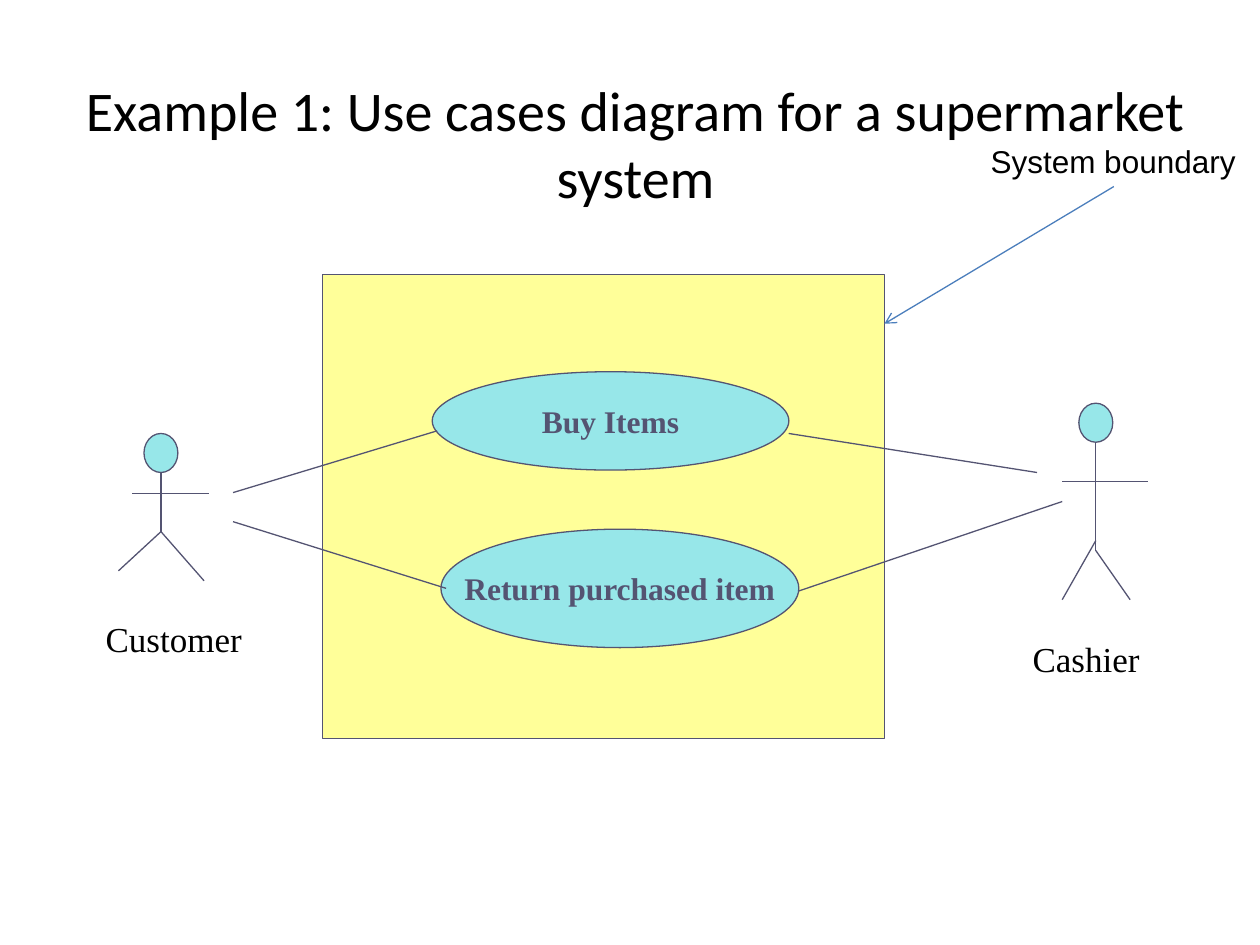
from pptx import Presentation
from pptx.dml.color import RGBColor
from pptx.enum.shapes import MSO_CONNECTOR, MSO_SHAPE
from pptx.enum.text import MSO_ANCHOR, PP_ALIGN
from pptx.oxml.ns import qn
from pptx.util import Pt
from lxml import etree

STRAIGHT = MSO_CONNECTOR.STRAIGHT
RECTANGLE, OVAL = MSO_SHAPE.RECTANGLE, MSO_SHAPE.OVAL
TOP, MIDDLE = MSO_ANCHOR.TOP, MSO_ANCHOR.MIDDLE
CENTER = PP_ALIGN.CENTER

INK, BLACK, YELLOW, AQUA, BLUE = "545472", "000000", "FFFF99", "97E7E9", "4B7EBC"
SERIF = "Times New Roman"
HEAD_WIDTH, HEAD_HEIGHT = 19.4, 22.3

BOUNDARY = (184.3, 157, 321.1, 265)
USE_CASES = [
    ("Buy Items", (247, 212.4, 203.8, 56.2)),
    ("Return purchased item", (252, 302.4, 204.5, 67.7)),
]
LABELS = [
    ("Example 1: Use cases diagram for a supermarket system",
     (36.7, 20.2, 653, 122.4), "Calibri", 32, MIDDLE, True),
    ("Customer", (48.2, 349.2, 102.2, 31), SERIF, 20, TOP, True),
    ("Cashier", (569.5, 360.7, 102.2, 31), SERIF, 20, TOP, True),
    ("System boundary", (558, 77.8, 156.2, 28.8), "Arial", 18, TOP, False),
]
ACTORS = [
    {"center": 92, "head": 247.7, "hip": 303.8, "arms": (75.6, 119.5, 282.2),
     "legs": [(303.8, 67.7, 326.2), (303.8, 116.6, 331.9)]},
    {"center": 626.2, "head": 230.4, "hip": 314.6, "arms": (607, 655.9, 275),
     "legs": [(308.9, 607, 342.7), (314.6, 645.8, 342.7)]},
]
ASSOCIATIONS = [
    (133.2, 281.5, 249.8, 246.2),
    (133.2, 298.1, 254.9, 336.2),
    (592.6, 270, 450.7, 247.7),
    (607, 286.6, 456.5, 337.7),
]
BOUNDARY_ARROW = (636.5, 106.6, 505.4, 185)


def color(value):
    return RGBColor.from_string(value)


def points(values):
    return [Pt(value) for value in values]


def write(box, text, font_name, size, ink, anchor, wrap, bold=False):
    frame = box.text_frame
    frame.word_wrap = wrap
    frame.vertical_anchor = anchor
    para = frame.paragraphs[0]
    para.text = text
    para.alignment = CENTER
    para.font.name = font_name
    para.font.size = Pt(size)
    para.font.bold = bold
    para.font.color.rgb = color(ink)


def add_outline(page, kind, place, fill):
    shape = page.shapes.add_shape(kind, *points(place))
    shape.shadow.inherit = False
    shape.fill.solid()
    shape.fill.fore_color.rgb = color(fill)
    shape.line.color.rgb = color(INK)
    shape.line.width = Pt(0.75)
    return shape


def add_line(page, ends, ink=INK, arrow=False):
    line = page.shapes.add_connector(STRAIGHT, *points(ends))
    line.line.color.rgb = color(ink)
    line.line.width = Pt(0.75)
    if arrow:
        etree.SubElement(line.line._get_or_add_ln(), qn("a:tailEnd"), type="arrow")
    etree.SubElement(line._element.spPr, qn("a:effectLst"))


def add_actor(page, actor):
    center, head, hip = actor["center"], actor["head"], actor["hip"]
    left, right, shoulder = actor["arms"]
    add_outline(page, OVAL, (center - HEAD_WIDTH / 2, head, HEAD_WIDTH, HEAD_HEIGHT), AQUA)
    add_line(page, (center, head + HEAD_HEIGHT, center, hip))
    add_line(page, (left, shoulder, right, shoulder))
    for start, foot, ground in actor["legs"]:
        add_line(page, (center, start, foot, ground))


def main():
    deck = Presentation()
    deck.slide_width, deck.slide_height = Pt(720), Pt(540)
    page = deck.slides.add_slide(deck.slide_layouts[6])

    add_outline(page, RECTANGLE, BOUNDARY, YELLOW)
    for name, place in USE_CASES:
        oval = add_outline(page, OVAL, place, AQUA)
        write(oval, name, SERIF, 18, INK, MIDDLE, False, bold=True)
    for actor in ACTORS:
        add_actor(page, actor)
    for ends in ASSOCIATIONS:
        add_line(page, ends)
    for text, place, font_name, size, anchor, wrap in LABELS:
        box = page.shapes.add_textbox(*points(place))
        write(box, text, font_name, size, BLACK, anchor, wrap)
    add_line(page, BOUNDARY_ARROW, BLUE, arrow=True)

    deck.save("out.pptx")


if __name__ == "__main__":
    main()
